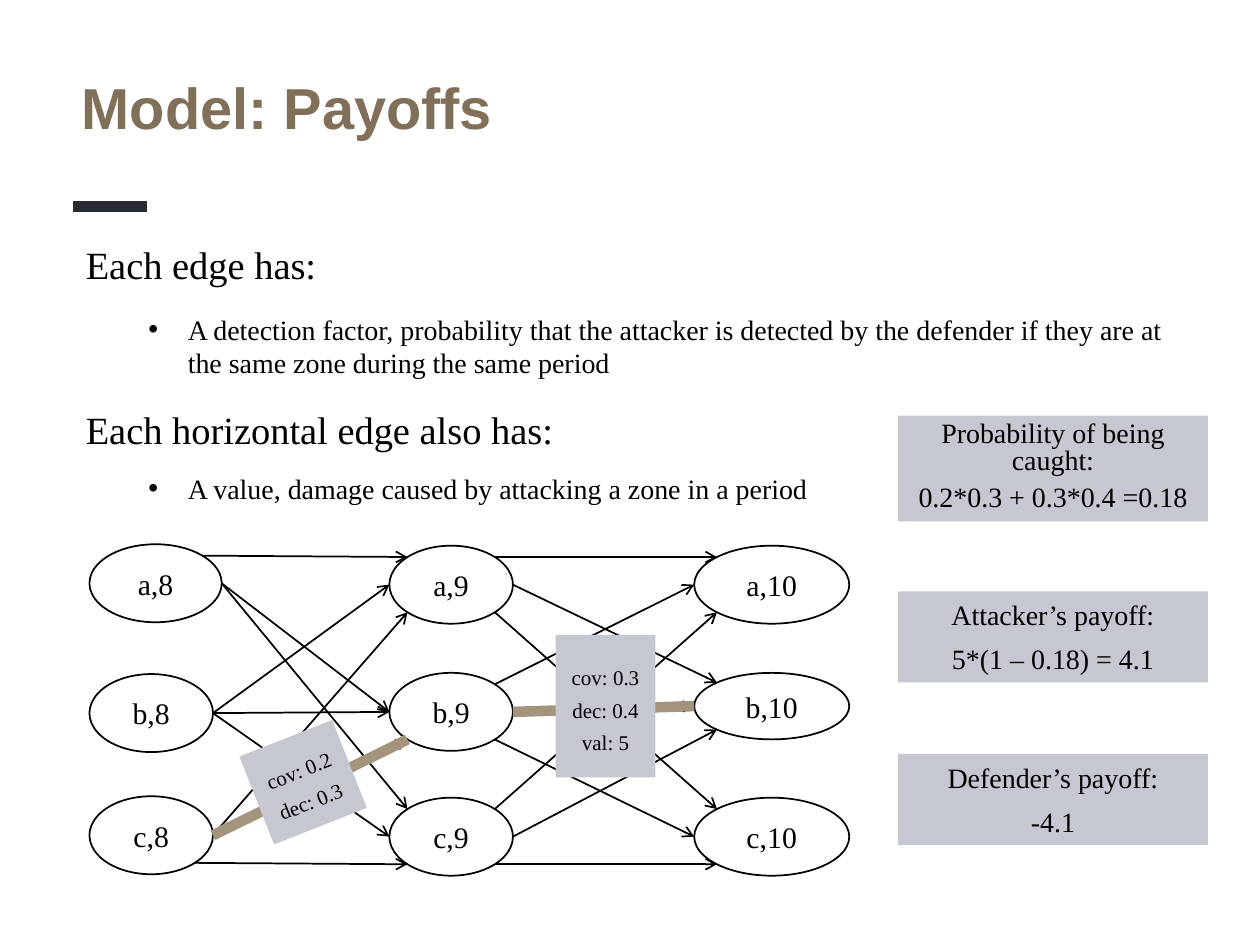
"""Build the slide on attacker and defender payoffs in a zone-by-period graph."""
from dataclasses import dataclass
from typing import Optional

from lxml import etree
from pptx import Presentation
from pptx import util as u
from pptx.dml.color import RGBColor
from pptx.enum import shapes, text
from pptx.oxml import ns

SERIF = "Times New Roman"
BLACK, WHITE, GREY, TAN = "000000", "FFFFFF", "C5C8D0", "A4947D"
DIAGONAL = 0.3536
SITES = {
    "left": (-0.5, 0), "right": (0.5, 0),
    "top_left": (-DIAGONAL, -DIAGONAL), "top_right": (DIAGONAL, -DIAGONAL),
    "bottom_left": (-DIAGONAL, DIAGONAL), "bottom_right": (DIAGONAL, DIAGONAL),
}


@dataclass
class Node:
    name: str
    x: float
    y: float
    w: float
    h: float = 44.6

    def site(self, name: str) -> tuple[float, float]:
        dx, dy = SITES[name]
        return self.x + self.w * (0.5 + dx), self.y + self.h * (0.5 + dy)


@dataclass
class Edge:
    start: str
    start_site: str
    end: str
    end_site: str


@dataclass
class Box:
    lines: list[str]
    x: float
    y: float
    w: float
    h: float
    size: float = 16
    spacing: Optional[float] = None
    before: float = 6
    anchor: text.MSO_ANCHOR = text.MSO_ANCHOR.TOP
    inset: float = 7.2
    rotation: float = 0


@dataclass
class Item:
    text: str
    before: float
    bullet: bool = False


NODES = [
    Node("a,8", 51.1, 311, 75.6), Node("b,8", 51.1, 385.2, 70.6), Node("c,8", 51.1, 455, 70.6),
    Node("a,9", 222.5, 311.8, 70.6), Node("b,9", 222.5, 384.5, 70.6), Node("c,9", 222.5, 455.8, 70.6),
    Node("a,10", 396.7, 311.8, 88.6), Node("b,10", 396.7, 384.5, 88.6, 38), Node("c,10", 396.7, 455.8, 88.6),
]
EDGES = [
    Edge("a,8", "top_right", "a,9", "top_left"),
    Edge("a,8", "right", "b,9", "left"),
    Edge("a,8", "right", "c,9", "top_left"),
    Edge("b,8", "right", "a,9", "left"),
    Edge("b,8", "right", "b,9", "left"),
    Edge("b,8", "right", "c,9", "left"),
    Edge("c,8", "right", "a,9", "bottom_left"),
    Edge("c,8", "right", "b,9", "bottom_left"),
    Edge("c,8", "bottom_right", "c,9", "bottom_left"),
    Edge("a,9", "top_right", "a,10", "top_left"),
    Edge("a,9", "right", "b,10", "top_left"),
    Edge("a,9", "bottom_right", "c,10", "top_left"),
    Edge("b,9", "top_right", "a,10", "left"),
    Edge("b,9", "right", "b,10", "left"),
    Edge("b,9", "bottom_right", "c,10", "left"),
    Edge("c,9", "top_right", "a,10", "bottom_left"),
    Edge("c,9", "right", "b,10", "bottom_left"),
    Edge("c,9", "bottom_right", "c,10", "bottom_left"),
]
ATTACK_PATH = [("c,8", "b,9"), ("b,9", "b,10")]
MIDDLE = text.MSO_ANCHOR.MIDDLE
BOXES = [
    Box(["Probability of being caught:", "0.2*0.3 + 0.3*0.4 =0.18"], 513.2, 237.5, 177, 60.5, spacing=0.8),
    Box(["Attacker’s payoff:", "5*(1 – 0.18) = 4.1"], 513.2, 338, 177, 52),
    Box(["Defender’s payoff:", "-4.1"], 513.2, 430.8, 177, 52),
    Box(["cov: 0.2", "dec: 0.3"], 144.7, 420, 57, 54, 12, 1.3, 0, MIDDLE, 3, 338.5),
    Box(["cov: 0.3", "dec: 0.4", "val: 5"], 317.5, 362.8, 57, 81.4, 12, 1.3, 0, MIDDLE, 3),
]
ITEMS = [
    Item("Each edge has:", 0),
    Item("A detection factor, probability that the attacker is detected by the defender "
         "if they are at the same zone during the same period", 14.6, True),
    Item("Each horizontal edge also has:", 7),
    Item("A value, damage caused by attacking a zone in a period", 11, True),
]


def color(value: str) -> RGBColor:
    return RGBColor.from_string(value)


def place(sp, x: float, y: float, w: float, h: float) -> None:
    sp.left, sp.top, sp.width, sp.height = u.Pt(x), u.Pt(y), u.Pt(w), u.Pt(h)


def add_run(p, words: str, size: float, font: str = SERIF, fill: str = BLACK, bold: bool = False) -> None:
    r = p.add_run()
    r.text = words
    r.font.name, r.font.size, r.font.bold = font, u.Pt(size), bold
    r.font.color.rgb = color(fill)


def next_paragraph(tf, index: int):
    return tf.add_paragraph() if index else tf.paragraphs[0]


def add_line(s, start: tuple[float, float], end: tuple[float, float], fill: str, width: float, arrow: bool = False) -> None:
    c = s.shapes.add_connector(shapes.MSO_CONNECTOR.STRAIGHT, *(u.Pt(v) for v in start + end))
    c.line.color.rgb = color(fill)
    c.line.width = u.Pt(width)
    if arrow:
        etree.SubElement(c.line._get_or_add_ln(), ns.qn("a:tailEnd"), type="arrow")
    etree.SubElement(c._element.spPr, ns.qn("a:effectLst"))


def add_node(s, node: Node) -> None:
    sp = s.shapes.add_shape(shapes.MSO_SHAPE.OVAL, *(u.Pt(v) for v in (node.x, node.y, node.w, node.h)))
    sp.shadow.inherit = False
    sp.fill.solid()
    sp.fill.fore_color.rgb = color(WHITE)
    sp.line.color.rgb = color(BLACK)
    sp.line.width = u.Pt(1)
    tf = sp.text_frame
    tf.vertical_anchor = MIDDLE
    p = tf.paragraphs[0]
    p.alignment = text.PP_ALIGN.CENTER
    add_run(p, node.name, 17)


def add_box(s, box: Box) -> None:
    sp = s.shapes.add_shape(shapes.MSO_SHAPE.RECTANGLE, *(u.Pt(v) for v in (box.x, box.y, box.w, box.h)))
    sp.rotation = box.rotation
    sp.shadow.inherit = False
    sp.fill.solid()
    sp.fill.fore_color.rgb = color(GREY)
    sp.line.fill.background()
    tf = sp.text_frame
    tf.word_wrap = True
    tf.vertical_anchor = box.anchor
    tf.margin_left = tf.margin_right = u.Pt(box.inset)
    for i, words in enumerate(box.lines):
        p = next_paragraph(tf, i)
        p.alignment = text.PP_ALIGN.CENTER
        p.line_spacing = box.spacing
        p.space_before = u.Pt(box.before if i else 0)
        add_run(p, words, box.size)


def fill_title(sp) -> None:
    place(sp, 41.8, 38.2, 507.6, 45.4)
    tf = sp.text_frame
    tf.auto_size = text.MSO_AUTO_SIZE.NONE
    tf.vertical_anchor = text.MSO_ANCHOR.TOP
    tf.margin_left = tf.margin_right = u.Pt(5)
    tf.margin_top = tf.margin_bottom = u.Pt(3)
    p = tf.paragraphs[0]
    p.alignment = text.PP_ALIGN.LEFT
    add_run(p, "Model: Payoffs", 33, "Arial", "807059", True)


def fill_body(sp, items: list[Item]) -> None:
    place(sp, 41.8, 126, 635, 162)
    tf = sp.text_frame
    tf.auto_size = text.MSO_AUTO_SIZE.NONE
    for i, item in enumerate(items):
        p = next_paragraph(tf, i)
        p.level = int(item.bullet)
        p.line_spacing = 1.0 if item.bullet else 1.3
        p.space_before = u.Pt(item.before)
        pPr = p._p.get_or_add_pPr()
        pPr.set("marL", str(u.Pt(58.3 if item.bullet else 0)))
        pPr.set("indent", str(u.Pt(-22.5 if item.bullet else 0)))
        if item.bullet:
            etree.SubElement(pPr, ns.qn("a:buFont"), typeface="Arial")
            etree.SubElement(pPr, ns.qn("a:buChar"), char="•")
        else:
            etree.SubElement(pPr, ns.qn("a:buNone"))
        add_run(p, item.text, 16 if item.bullet else 22)


def main() -> None:
    prs = Presentation()
    prs.slide_width, prs.slide_height = u.Pt(720), u.Pt(540)
    s = prs.slides.add_slide(prs.slide_layouts[1])
    fill_title(s.shapes.title)
    fill_body(s.placeholders[1], ITEMS)
    add_line(s, (41.8, 118), (84.2, 118), "292C33", 6)
    nodes = {node.name: node for node in NODES}
    for node in NODES:
        add_node(s, node)
    ends = {(e.start, e.end): (nodes[e.start].site(e.start_site), nodes[e.end].site(e.end_site)) for e in EDGES}
    for start, end in ends.values():
        add_line(s, start, end, BLACK, 1, arrow=True)
    for pair in ATTACK_PATH:
        add_line(s, *ends[pair], TAN, 6)
    for box in BOXES:
        add_box(s, box)
    prs.save("out.pptx")


if __name__ == "__main__":
    main()
